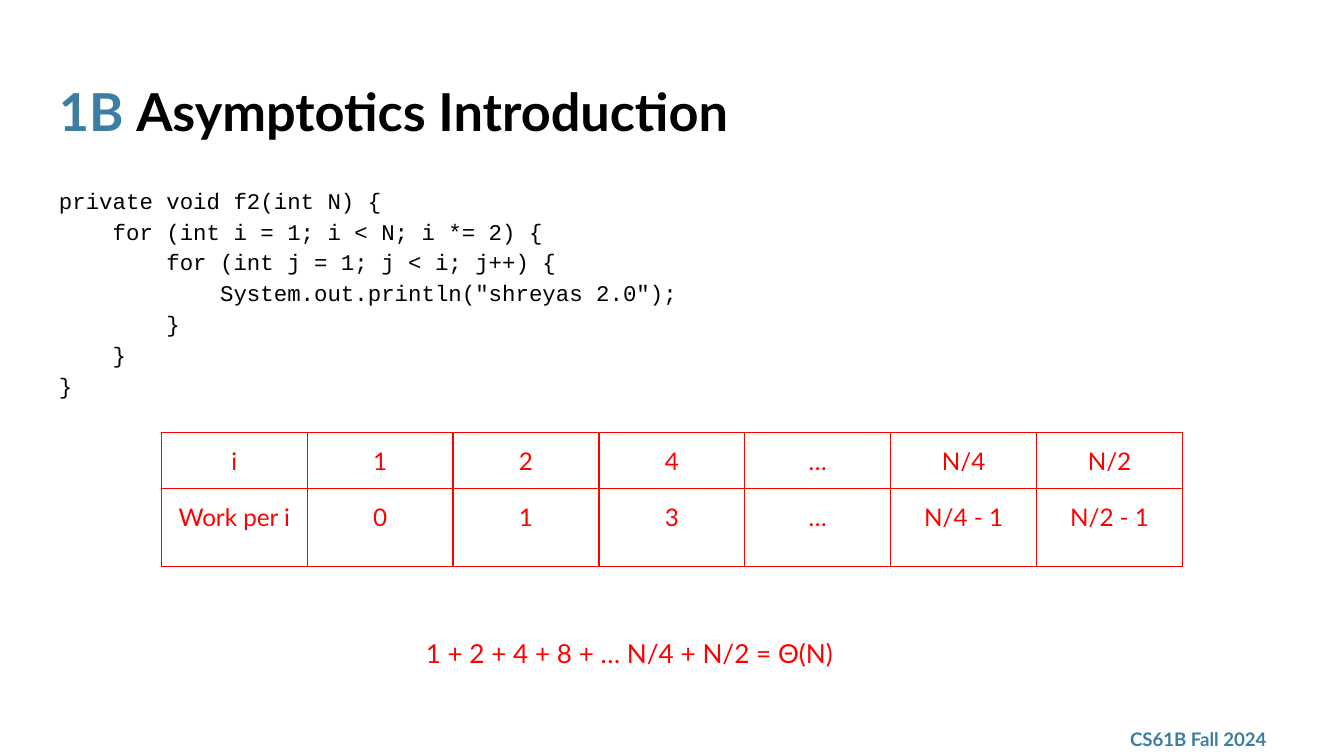
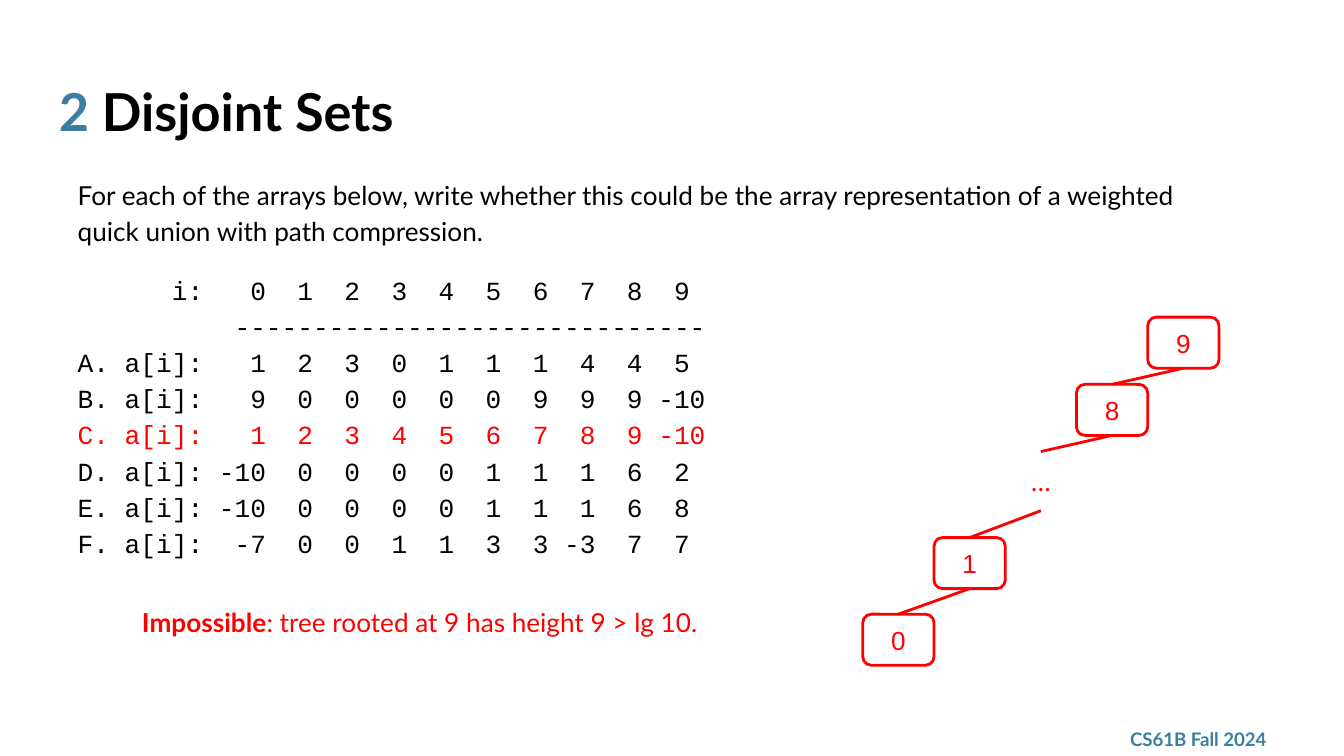
import pptx
import pptx.util
import pptx.dml.color
import pptx.enum.text
import pptx.enum.shapes
import pptx.oxml.ns
from lxml import etree

Inches = pptx.util.Inches
Pt = pptx.util.Pt
RGBColor = pptx.dml.color.RGBColor
PP_ALIGN = pptx.enum.text.PP_ALIGN
MSO_ANCHOR = pptx.enum.text.MSO_ANCHOR
qn = pptx.oxml.ns.qn

BLUE = RGBColor(0x3B, 0x7E, 0xA1)
BLACK = RGBColor(0, 0, 0)
RED = RGBColor(0xFF, 0, 0)


def write(tf, text, size=14, font="Lato", color=BLACK, bold=False, align=PP_ALIGN.LEFT,
          anchor=MSO_ANCHOR.TOP, spacing=1.0):
    tf.word_wrap = True
    tf.vertical_anchor = anchor
    tf.margin_left = tf.margin_right = tf.margin_top = tf.margin_bottom = Inches(0.1)
    lines = text.split("\n") if isinstance(text, str) else text
    for n, line in enumerate(lines):
        p = tf.paragraphs[0] if n == 0 else tf.add_paragraph()
        p.alignment = align
        p.line_spacing = spacing
        runs = [(line, color, bold)] if isinstance(line, str) else line
        for run_text, run_color, run_bold in runs:
            r = p.add_run()
            r.text = run_text
            r.font.size = Pt(size)
            r.font.name = font
            r.font.bold = run_bold
            r.font.color.rgb = run_color


def add_text(s, x, y, w, h, text, **fmt):
    sp = s.shapes.add_textbox(Inches(x), Inches(y), Inches(w), Inches(h))
    write(sp.text_frame, text, **fmt)


prs = pptx.Presentation()
prs.slide_width = Inches(10)
prs.slide_height = Inches(10) * 9 // 16

slides = []
for number, title in [("1B ", "Asymptotics Introduction"), ("2 ", "Disjoint Sets")]:
    s = prs.slides.add_slide(prs.slide_layouts[6])
    add_text(s, 8.31, 5.37, 1.35, 0.26, "CS61B Fall 2024", size=10, color=BLUE, bold=True,
             anchor=MSO_ANCHOR.MIDDLE)
    add_text(s, 0.34, 0.49, 9.32, 0.63, [[(number, BLUE, True), (title, BLACK, True)]], size=28)
    slides.append(s)
asymptotics, disjoint_sets = slides

code = """private void f2(int N) {
    for (int i = 1; i < N; i *= 2) {
        for (int j = 1; j < i; j++) {
            System.out.println("shreyas 2.0");
        }
    }
}"""
s = asymptotics
add_text(s, 0.34, 1.26, 4.98, 1.96, code, size=12, font="Courier New", spacing=1.15)
add_text(s, 3.07, 4.64, 3.86, 0.44, "1 + 2 + 4 + 8 + … N/4 + N/2 = Θ(N)", color=RED)

work = [
    ["i", "1", "2", "4", "…", "N/4", "N/2"],
    ["Work per i", "0", "1", "3", "…", "N/4 - 1", "N/2 - 1"],
]
table = s.shapes.add_table(2, 7, Inches(1.2), Inches(3.22), Inches(7.6), Inches(1)).table
table.first_row = table.horz_banding = False
for col in table.columns:
    col.width = Inches(7.6 / 7)
for row, height, values in zip(table.rows, [0.41, 0.58], work):
    row.height = Inches(height)
    for cell, value in zip(row.cells, values):
        write(cell.text_frame, value, size=13, color=RED, align=PP_ALIGN.CENTER)
        cell.margin_left = cell.margin_right = Inches(0.1)
        cell.margin_top = cell.margin_bottom = Inches(0.1)
        cell.vertical_anchor = MSO_ANCHOR.TOP
        tcPr = cell._tc.get_or_add_tcPr()
        for side in ["a:lnL", "a:lnR", "a:lnT", "a:lnB"]:
            ln = etree.SubElement(tcPr, qn(side), w=str(Pt(0.75)))
            fill = etree.SubElement(ln, qn("a:solidFill"))
            etree.SubElement(fill, qn("a:srgbClr"), val=str(RED))
        cell.fill.background()

s = disjoint_sets
arrays = [
    "      i:   0  1  2  3  4  5  6  7  8  9",
    "          ------------------------------",
    "A. a[i]:   1  2  3  0  1  1  1  4  4  5",
    "B. a[i]:   9  0  0  0  0  0  9  9  9 -10",
    [("C. a[i]:   1  2  3  4  5  6  7  8  9 -10", RED, False)],
    "D. a[i]: -10  0  0  0  0  1  1  1  6  2",
    "E. a[i]: -10  0  0  0  0  1  1  1  6  8",
    "F. a[i]:  -7  0  0  1  1  3  3 -3  7  7",
]
add_text(s, 0.48, 1.91, 5.3, 2.23, arrays, font="Courier New", spacing=1.15)
add_text(s, 0.48, 1.2, 8.59, 0.71,
         "For each of the arrays below, write whether this could be the array representation "
         "of a weighted quick union with path compression.", spacing=1.15)
add_text(s, 0.63, 4.38, 4.99, 0.44,
         [[("Impossible", RED, True), (": tree rooted at 9 has height 9 > lg 10.", RED, False)]],
         align=PP_ALIGN.CENTER, spacing=1.15)

NODE_W, NODE_H = 0.53, 0.38
nodes = [("9", 2.36, NODE_H), ("8", 2.86, NODE_H), ("…", 3.36, 0.44), ("1", 4, NODE_H),
         ("0", 4.57, NODE_H)]
fmt = dict(color=RED, align=PP_ALIGN.CENTER, anchor=MSO_ANCHOR.MIDDLE)
parent = None
for n, (label, y, h) in enumerate(nodes):
    x = 8.54 - n * NODE_W
    if label == "…":
        add_text(s, x, y, NODE_W, h, label, **fmt)
    else:
        sp = s.shapes.add_shape(pptx.enum.shapes.MSO_SHAPE.ROUNDED_RECTANGLE,
                                Inches(x), Inches(y), Inches(NODE_W), Inches(h))
        sp.shadow.inherit = False
        sp.fill.background()
        sp.line.color.rgb = RED
        sp.line.width = Pt(1.5)
        write(sp.text_frame, label, font="Arial", **fmt)
    center = x + NODE_W / 2
    if parent:
        edge = s.shapes.add_connector(pptx.enum.shapes.MSO_CONNECTOR.STRAIGHT,
                                      Inches(parent[0]), Inches(parent[1]),
                                      Inches(center), Inches(y))
        edge.line.color.rgb = RED
        edge.line.width = Pt(1.5)
        etree.SubElement(edge._element.spPr, qn("a:effectLst"))
    parent = (center, y + h)

prs.save("out.pptx")
